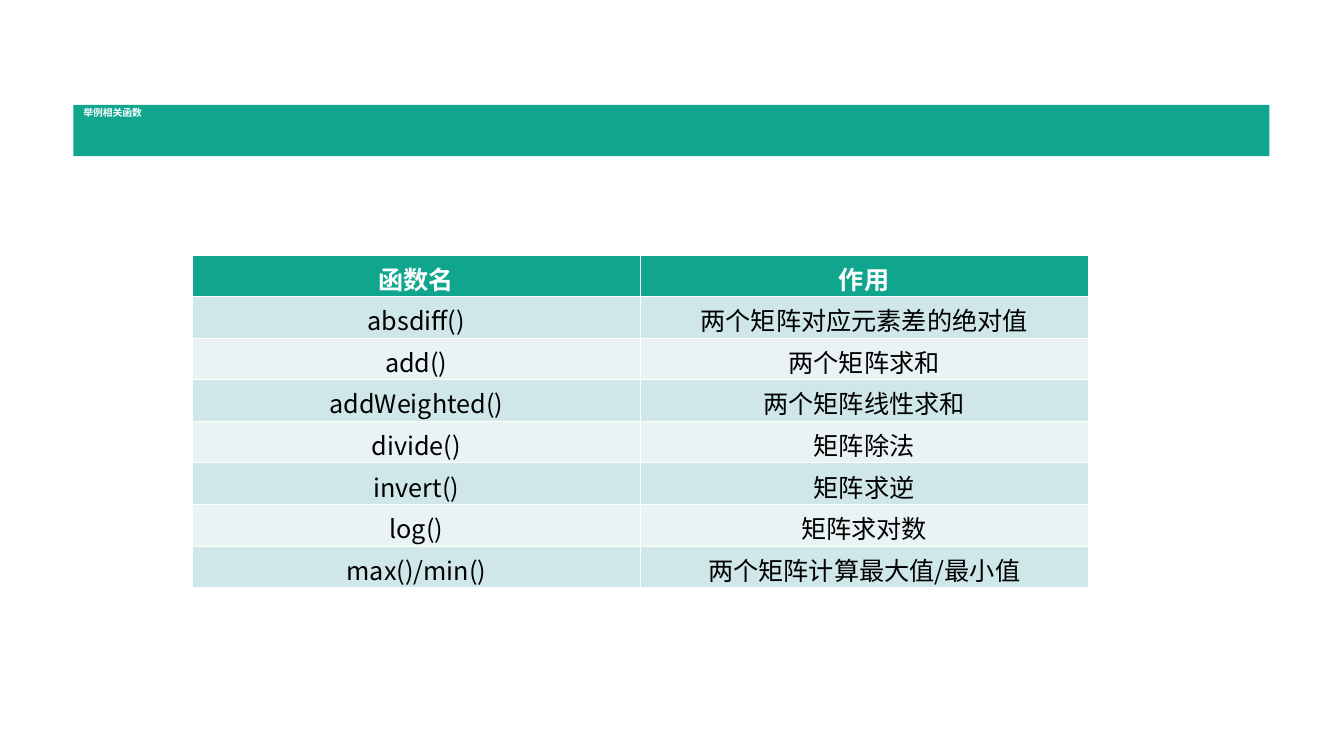
from lxml import etree
from pptx import Presentation
from pptx import util as u
from pptx.dml.color import RGBColor
from pptx.enum import shapes, text
from pptx.oxml.ns import qn

FONT = "Noto Sans CJK SC"
GREEN, WHITE, BLACK = "10A68E", "FFFFFF", "000000"
BANDS = ("CFE7E8", "E9F3F4")
ROWS = [
    ("函数名", "作用"),
    ("absdiff()", "两个矩阵对应元素差的绝对值"),
    ("add()", "两个矩阵求和"),
    ("addWeighted()", "两个矩阵线性求和"),
    ("divide()", "矩阵除法"),
    ("invert()", "矩阵求逆"),
    ("log()", "矩阵求对数"),
    ("max()/min()", "两个矩阵计算最大值/最小值"),
]


def paint(fill, colour):
    fill.solid()
    fill.fore_color.rgb = RGBColor.from_string(colour)


def write(frame, words, size, colour, bold, align):
    para = frame.paragraphs[0]
    para.text = words
    para.alignment = align
    font = para.font
    font.name, font.size, font.bold = FONT, u.Pt(size), bold
    paint(font.fill, colour)
    # The East Asian typeface follows the Latin one
    defaults = para._p.pPr.find(qn("a:defRPr"))
    etree.SubElement(defaults, qn("a:ea"), typeface=FONT)
    return para


def add_border(cell, side, width):
    line = etree.Element(qn(f"a:ln{side}"), w=str(u.Pt(width)))
    fill = etree.SubElement(line, qn("a:solidFill"))
    etree.SubElement(fill, qn("a:srgbClr"), val=WHITE)
    return line


def set_borders(cell, row):
    heavy_side = {0: "B", 1: "T"}.get(row)
    properties = cell._tc.get_or_add_tcPr()
    for position, side in enumerate("LRTB"):
        width = 1.47 if side == heavy_side else 0.45
        properties.insert(position, add_border(cell, side, width))


def add_title_bar(page, words):
    bar = page.shapes.add_shape(
        shapes.MSO_SHAPE.RECTANGLE,
        u.Inches(0.73), u.Inches(1.04), u.Inches(11.87), u.Inches(0.51))
    bar.shadow.inherit = False
    paint(bar.fill, GREEN)
    bar.line.fill.background()
    frame = bar.text_frame
    frame.word_wrap = True
    frame.vertical_anchor = text.MSO_ANCHOR.TOP
    para = write(frame, words, 7, WHITE, True, text.PP_ALIGN.LEFT)
    para.line_spacing = 0.7


def add_function_table(page, rows):
    table = page.shapes.add_table(
        len(rows), 2, u.Inches(1.91), u.Inches(2.53),
        u.Inches(8.89), u.Inches(3.24)).table
    for r, words in enumerate(rows):
        header = r == 0
        for c, word in enumerate(words):
            cell = table.cell(r, c)
            # No bottom margin, so that a line fits the row height
            cell.margin_bottom = 0
            paint(cell.fill, GREEN if header else BANDS[(r - 1) % 2])
            set_borders(cell, r)
            write(cell.text_frame, word, 18, WHITE if header else BLACK,
                  header, text.PP_ALIGN.CENTER)


def main():
    deck = Presentation()
    deck.slide_width, deck.slide_height = u.Inches(13.34), u.Inches(7.5)
    page = deck.slides.add_slide(deck.slide_layouts[6])

    add_title_bar(page, "举例相关函数")
    add_function_table(page, ROWS)

    deck.save("out.pptx")


if __name__ == "__main__":
    main()
